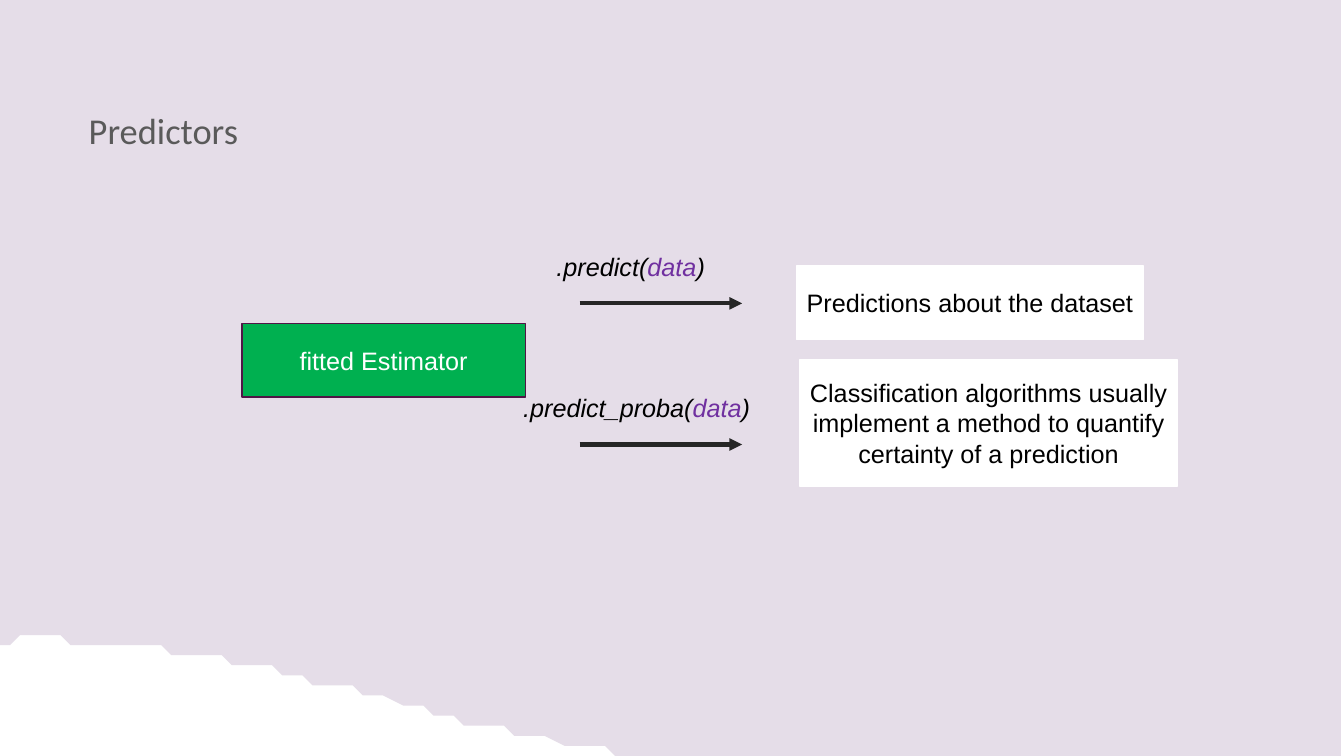
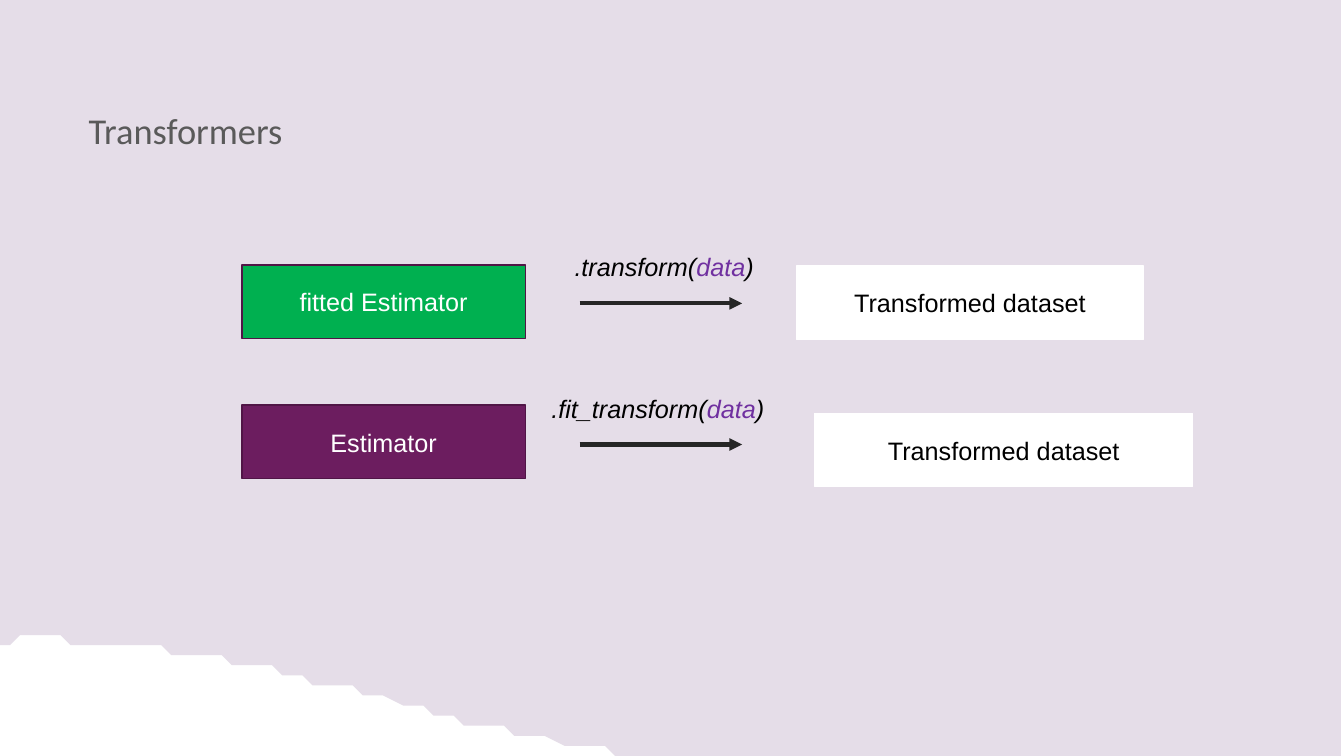
"""Build two slides on what predictors and transformers return."""
from lxml.etree import SubElement
from pptx import Presentation
from pptx.dml.color import RGBColor
from pptx.enum.shapes import MSO_CONNECTOR, MSO_SHAPE
from pptx.enum.text import MSO_ANCHOR, MSO_AUTO_SIZE, PP_ALIGN
from pptx.oxml.ns import qn
from pptx.util import Inches, Pt

LILAC = RGBColor(0xE5, 0xDD, 0xE8)
GREY = RGBColor(0x5A, 0x5A, 0x5A)
GREEN = RGBColor(0x00, 0xB0, 0x50)
PLUM = RGBColor(0x6C, 0x1D, 0x5F)
DARK_PLUM = RGBColor(0x50, 0x15, 0x46)
VIOLET = RGBColor(0x70, 0x30, 0xA0)
CHARCOAL = RGBColor(0x26, 0x26, 0x26)
BLACK = RGBColor(0x00, 0x00, 0x00)
WHITE = RGBColor(0xFF, 0xFF, 0xFF)

GRID = Inches(0.1)
SLIDE_COLUMNS, SLIDE_ROWS = 133.3, 75
BOX_ROWS = 7.3
ESTIMATOR_COLUMN, ESTIMATOR_COLUMNS = 24, 28.1
ARROW_START, ARROW_END = 57.5, 73.6
FIRST_ARROW_ROW, ARROW_PITCH = 30.1, 14
WAVE_CURVE = ((70.4, 75.3), (47.6, 75.1), (25, 62), (0, 63.6))
WAVE_STEPS = 60

SLIDES = (
    ("Predictors",
     ((32.1, "fitted Estimator", GREEN),),
     ((".predict(", 54.2, 24.4, 19.8), (".predict_proba(", 50.9, 38.4, 28.5)),
     ((79, 26.4, 34.4, BOX_ROWS, "Predictions about the dataset"),
      (79.3, 35.7, 37.5, 12.5, "Classification algorithms usually implement "
       "a method to quantify certainty of a prediction"))),
    ("Transformers",
     ((26.3, "fitted Estimator", GREEN), (40.2, "Estimator", PLUM)),
     ((".transform(", 56, 24.4, 24.4), (".fit_transform(", 53.7, 38.5, 28.2)),
     ((79, 26.4, 34.4, BOX_ROWS, "Transformed dataset"),
      (80.8, 41, 37.5, BOX_ROWS, "Transformed dataset"))),
)


def add_span(para, text, color, size=18, font="Arial", italic=None):
    span = para.add_run()
    span.text = text
    span.font.name = font
    span.font.size = Pt(size)
    span.font.italic = italic
    span.font.color.rgb = color


def add_box(page, area, text, fill, outline, color):
    box = page.shapes.add_shape(
        MSO_SHAPE.RECTANGLE, *(round(length * GRID) for length in area))
    box.shadow.inherit = False
    box.fill.solid()
    box.fill.fore_color.rgb = fill
    box.line.color.rgb = outline
    box.line.width = Pt(1)
    box.text_frame.word_wrap = True
    box.text_frame.vertical_anchor = MSO_ANCHOR.MIDDLE
    para = box.text_frame.paragraphs[0]
    para.alignment = PP_ALIGN.CENTER
    add_span(para, text, color)


deck = Presentation()
deck.slide_width = round(SLIDE_COLUMNS * GRID)
deck.slide_height = SLIDE_ROWS * GRID
layout = deck.slide_layouts.get_by_name("Title Only")
pages = [deck.slides.add_slide(layout) for _ in SLIDES]

outline_points = [(SLIDE_COLUMNS, 0), (SLIDE_COLUMNS, SLIDE_ROWS)]
for step in range(WAVE_STEPS + 1):
    t = step / WAVE_STEPS
    weights = ((1 - t) ** 3, 3 * t * (1 - t) ** 2, 3 * t ** 2 * (1 - t), t ** 3)
    x, y = (sum(weight * value for weight, value in zip(weights, axis))
            for axis in zip(*WAVE_CURVE))
    outline_points.append((x, min(y, SLIDE_ROWS)))
builder = pages[0].shapes.build_freeform(0, 0, scale=GRID)
builder.add_line_segments(outline_points, close=True)
wave = builder.convert_to_shape()
wave.shadow.inherit = False
wave.fill.solid()
wave.fill.fore_color.rgb = LILAC
wave.line.fill.background()
layout.shapes.element.insert(2, wave.element)

for page, (heading, estimators, calls, results) in zip(pages, SLIDES):
    title = page.shapes.title
    title.left, title.top = round(8.8 * GRID), 8 * GRID
    title.width, title.height = round(117.8 * GRID), round(9.8 * GRID)
    frame = title.text_frame
    frame.auto_size = MSO_AUTO_SIZE.NONE
    frame.word_wrap = True
    frame.vertical_anchor = MSO_ANCHOR.MIDDLE
    frame.margin_left, frame.margin_right = 0, Inches(0.12)
    frame.margin_top, frame.margin_bottom = Inches(0.12), Inches(0.04)
    para = frame.paragraphs[0]
    para.alignment = PP_ALIGN.LEFT
    para.line_spacing = 0.8
    add_span(para, heading, GREY, 26, "Calibri")

    for row, text, fill in estimators:
        area = (ESTIMATOR_COLUMN, row, ESTIMATOR_COLUMNS, BOX_ROWS)
        add_box(page, area, text, fill, DARK_PLUM, WHITE)

    for index, (method, *corner, width) in enumerate(calls):
        arrow_y = round((FIRST_ARROW_ROW + index * ARROW_PITCH) * GRID)
        arrow = page.shapes.add_connector(
            MSO_CONNECTOR.STRAIGHT, round(ARROW_START * GRID), arrow_y,
            round(ARROW_END * GRID), arrow_y)
        arrow.line.color.rgb = CHARCOAL
        arrow.line.width = Pt(3)
        SubElement(arrow.line.get_or_change_to_solidFill().getparent()
                   if hasattr(arrow.line, "get_or_change_to_solidFill")
                   else arrow.element.spPr.find(qn("a:ln")),
                   qn("a:tailEnd"), type="triangle")
        SubElement(arrow.element.spPr, qn("a:effectLst"))

        label = page.shapes.add_textbox(
            *(round(length * GRID) for length in (*corner, width, 4)))
        label.text_frame.word_wrap = True
        label.text_frame.auto_size = MSO_AUTO_SIZE.SHAPE_TO_FIT_TEXT
        para = label.text_frame.paragraphs[0]
        for text, color in ((method, BLACK), ("data", VIOLET), (")", BLACK)):
            add_span(para, text, color, italic=True)

    for *area, text in results:
        add_box(page, area, text, WHITE, WHITE, BLACK)

deck.save("out.pptx")
